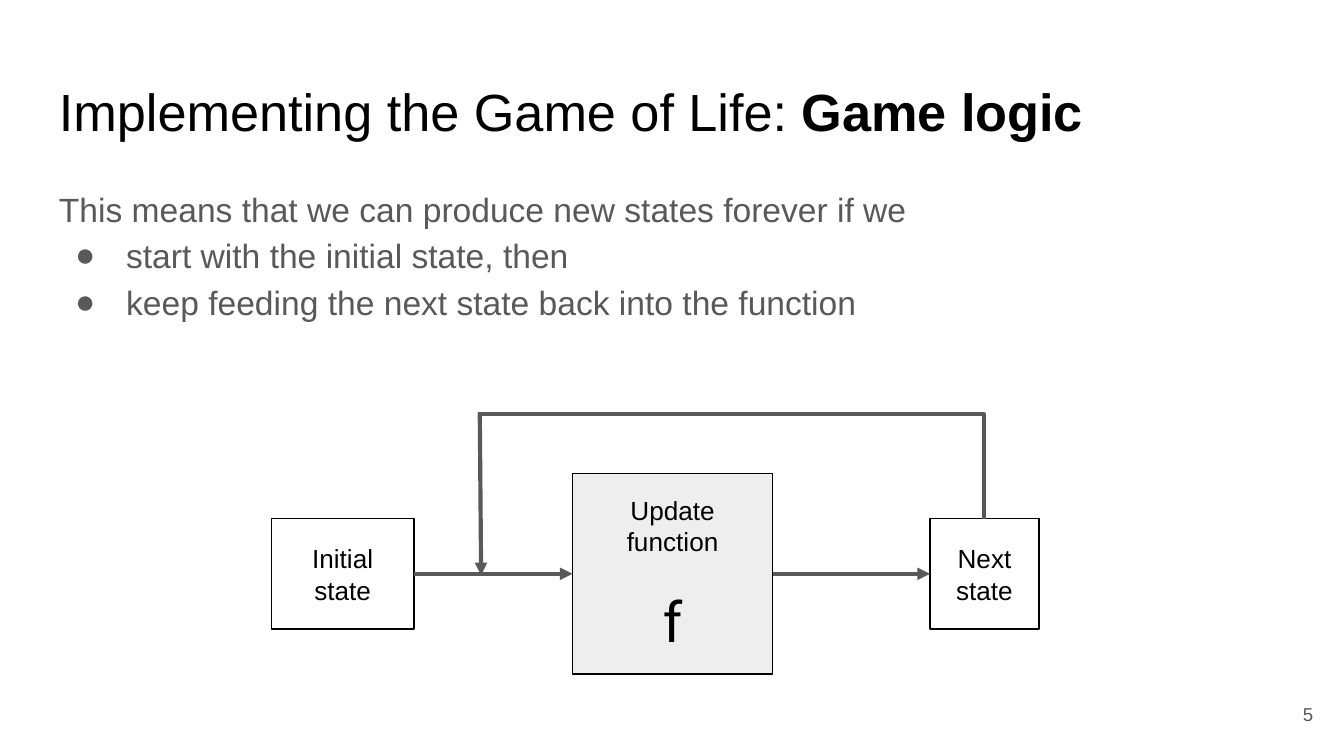
from lxml import etree
from pptx import Presentation
from pptx.dml.color import RGBColor
from pptx.enum.shapes import MSO_CONNECTOR, MSO_SHAPE
from pptx.enum.text import MSO_ANCHOR, PP_ALIGN
from pptx.oxml.ns import qn
from pptx.util import Inches, Pt

BLACK = RGBColor(0x00, 0x00, 0x00)
GRAY = RGBColor(0x59, 0x59, 0x59)
PALE = RGBColor(0xEE, 0xEE, 0xEE)
RECT = MSO_SHAPE.RECTANGLE
LINE, ELBOW = MSO_CONNECTOR.STRAIGHT, MSO_CONNECTOR.ELBOW
TOP, MIDDLE = MSO_ANCHOR.TOP, MSO_ANCHOR.MIDDLE
LEFT, CENTER, RIGHT = PP_ALIGN.LEFT, PP_ALIGN.CENTER, PP_ALIGN.RIGHT

deck = Presentation()
deck.slide_width, deck.slide_height = Inches(10), Inches(10 * 9 / 16)
slide = deck.slides.add_slide(deck.slide_layouts[6])


def write(shape, lines, size, color, align=LEFT, anchor=TOP):
    frame = shape.text_frame
    frame.word_wrap = True
    frame.vertical_anchor = anchor
    frame.margin_left = frame.margin_right = Inches(0.1)
    frame.margin_top = frame.margin_bottom = Inches(0.1)
    frame.text = "\n".join(lines)
    for para in frame.paragraphs:
        para.alignment = align
        for run in para.runs:
            run.font.size = Pt(size)
            run.font.name = "Arial"
            run.font.color.rgb = color
    return frame.paragraphs


def link(kind, x1, y1, x2, y2, arrow):
    line = slide.shapes.add_connector(kind, Inches(x1), Inches(y1), Inches(x2), Inches(y2))
    line.line.color.rgb = GRAY
    line.line.width = Pt(2.25)
    props = line._element.spPr
    if arrow:
        etree.SubElement(props.find(qn("a:ln")), qn("a:tailEnd"), type="triangle")
    etree.SubElement(props, qn("a:effectLst"))
    return props


title = slide.shapes.add_textbox(Inches(0.34), Inches(0.49), Inches(9.32), Inches(0.63))
head = write(title, ["Implementing the Game of Life: "], 28, BLACK)[0]
bold = head.add_run()
bold.text = "Game logic"
bold.font.size = Pt(28)
bold.font.name = "Arial"
bold.font.bold = True
bold.font.color.rgb = BLACK

body = slide.shapes.add_textbox(Inches(0.34), Inches(1.26), Inches(9.32), Inches(3.74))
points = write(body, [
    "This means that we can produce new states forever if we",
    "start with the initial state, then",
    "keep feeding the next state back into the function",
], 18, GRAY)
for para in points:
    para.line_spacing = 1.15
for para in points[1:]:
    props = para._p.get_or_add_pPr()
    props.set("marL", str(Inches(0.5)))
    props.set("indent", str(Inches(-0.38)))
    tint = etree.SubElement(props, qn("a:buClr"))
    etree.SubElement(tint, qn("a:srgbClr"), val=str(GRAY))
    etree.SubElement(props, qn("a:buFont"), typeface="Arial")
    etree.SubElement(props, qn("a:buChar"), char="●")

number = slide.shapes.add_textbox(Inches(9.27), Inches(5.1), Inches(0.6), Inches(0.43))
write(number, ["5"], 10, GRAY, RIGHT, MIDDLE)

MID = 4.27
boxes = [
    (2.02, 1.06, 0.82, ["Initial state"], None),
    (4.26, 1.49, 1.49, ["Update function", "f"], PALE),
    (6.92, 0.81, 0.82, ["Next state"], None),
]
for left, width, height, lines, fill in boxes:
    box = slide.shapes.add_shape(
        RECT, Inches(left), Inches(MID - height / 2), Inches(width), Inches(height))
    box.shadow.inherit = False
    if fill:
        box.fill.solid()
        box.fill.fore_color.rgb = fill
    else:
        box.fill.background()
    box.line.color.rgb = BLACK
    box.line.width = Pt(0.75)
    paras = write(box, lines, 14, BLACK, CENTER, MIDDLE)
    for para in paras[1:]:
        para.space_before = Pt(16)
        para.runs[0].font.size = Pt(30)
        para.runs[0].font.name = "Roboto"

for (left, width, *_), (right, *_) in zip(boxes, boxes[1:]):
    link(LINE, left + width, MID, right, MID, True)

loop = link(ELBOW, 5.83, 1.59, 5.05, 5.35, False)
loop.find(qn("a:xfrm")).set("rot", "5400000")
loop.find(qn("a:prstGeom")).set("prst", "bentConnector2")
link(LINE, 3.57, 3.07, 3.58, 4.28, True)

deck.save("out.pptx")
